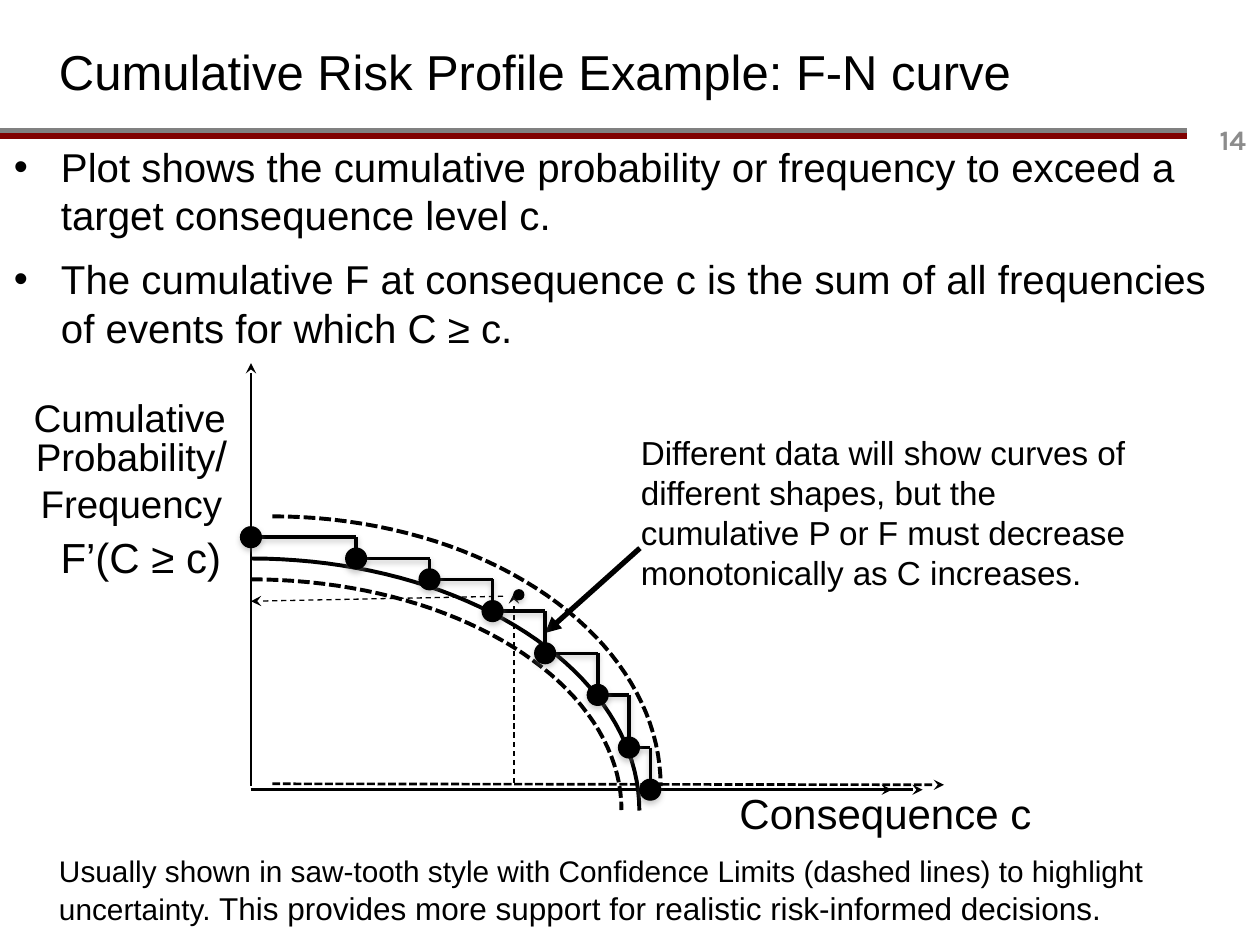
from math import cos, pi, sin

from lxml import etree
from pptx import Presentation
from pptx.dml.color import RGBColor
from pptx.enum import dml, shapes, text
from pptx.oxml import ns
from pptx.util import Cm, Pt

HUE = {"ink": "000000", "gray": "808080", "red": "800000", "page": "8C8C8C"}
DASH = dml.MSO_LINE
LEFT, MID, RIGHT = text.PP_ALIGN.LEFT, text.PP_ALIGN.CENTER, text.PP_ALIGN.RIGHT
TOP, HALF = text.MSO_ANCHOR.TOP, text.MSO_ANCHOR.MIDDLE


def style(shape, width, hue="ink", dash=None, tip=None, dist=None):
    line = shape.line
    line.color.rgb = RGBColor.from_string(HUE[hue])
    line.width = Pt(width)
    if dash:
        line.dash_style = dash
    props = shape._element.spPr
    if tip:
        etree.SubElement(props.find(ns.qn("a:ln")), ns.qn("a:tailEnd"), type=tip)
    list_ = etree.SubElement(props, ns.qn("a:effectLst"))
    if dist:
        shade = etree.SubElement(list_, ns.qn("a:outerShdw"), blurRad=str(Pt(3.1)),
                                 dist=str(Pt(dist)), dir="5400000", rotWithShape="0")
        tint = etree.SubElement(shade, ns.qn("a:srgbClr"), val=HUE["gray"])
        etree.SubElement(tint, ns.qn("a:alpha"), val="38000")


def join(start, end, *look, **more):
    ends = [Cm(v) for v in (*start, *end)]
    line = slide.shapes.add_connector(shapes.MSO_CONNECTOR.STRAIGHT, *ends)
    style(line, *look, **more)


deck = Presentation()
deck.slide_width, deck.slide_height = Cm(25.4), Cm(19.05)
slide = deck.slides.add_slide(deck.slide_layouts[6])

for y, hue in ((2.64, "gray"), (2.74, "red")):
    join((0, y), (23.93, y), 3, hue)

base = (5.06, 15.92)
join(base, (18.6, 15.92), 1.5, tip="stealth")
join(base, (17.98, 15.92), 1.5, dash=DASH.SQUARE_DOT, tip="stealth")
join((5.49, 15.8), (19.03, 15.82), 1.5, dash=DASH.SQUARE_DOT, tip="stealth")
join((5.06, 15.84), (5.06, 7.32), 1.5, tip="stealth")
join((12.9, 11.05), (10.99, 12.76), 3, tip="triangle")
join((10.36, 15.78), (10.36, 11.96), 0.75, dash=DASH.DASH, tip="stealth")
join((10.14, 12.02), (5.06, 12.12), 0.75, dash=DASH.DASH, tip="stealth")

arcs = [
    (5.06, 11.26, 7.83, 5.08, None),
    (5.49, 10.41, 7.83, 5.44, DASH.SQUARE_DOT),
    (5.06, 11.68, 7.47, 4.65, DASH.SQUARE_DOT),
]
count = 40
for x, y, wide, high, dash in arcs:
    turns = [pi / 2 * i / count for i in range(count + 1)]
    spots = [(Cm(x + wide * sin(t)), Cm(y + high * (1 - cos(t)))) for t in turns]
    pen = slide.shapes.build_freeform(*spots[0])
    pen.add_line_segments(spots[1:], close=False)
    curve = pen.convert_to_shape()
    curve.fill.background()
    style(curve, 2.25, dash=dash)

steps = [(5.06, 10.83), (7.18, 11.26), (8.66, 11.68), (9.93, 12.32),
         (10.99, 13.17), (12.05, 14.01), (12.68, 15.07), (13.11, 15.92)]
for (x, y), (right, low) in zip(steps, steps[1:]):
    join((x, y), (right, y), 2, dist=1.6)
    join((right, y), (right, low), 2, dist=1.6)

dots = [(x, y, 0.42) for x, y in steps] + [(10.46, 11.99, 0.2)]
for x, y, size in dots:
    dot = slide.shapes.add_shape(shapes.MSO_SHAPE.OVAL, Cm(x - size / 2),
                                 Cm(y - size / 2), Cm(size), Cm(size))
    dot.fill.solid()
    dot.fill.fore_color.rgb = RGBColor.from_string(HUE["ink"])
    style(dot, 0.75, dist=1.8)

notes = [
    ((23.29, 2.29, 2.08, 1.02), HALF, RIGHT, [[("14", 16)]]),
    ((0.94, 0.61, 22.86, 1.63), HALF, LEFT,
     [[("Cumulative Risk Profile Example: F-N curve", 28)]]),
    ((0.03, 2.74, 25.37, 5.92), TOP, LEFT, [
        [("Plot shows the cumulative probability or frequency to exceed a "
          "target consequence level c.", 23)],
        [("The cumulative F at consequence c is the sum of all frequencies "
          "of events for which C ≥ c.", 23)]]),
    ((0.64, 10.59, 4.4, 1.27), HALF, MID, [[("F’(C ≥ c)", 24)]]),
    ((0.25, 8.55, 4.8, 2.15), HALF, MID,
     [[("Probability", 22), ("/", 24)], [("Frequency", 22)]]),
    ((0.43, 7.82, 4.6, 1.19), TOP, LEFT, [[("Cumulative", 22)]]),
    ((12.67, 8.59, 10.59, 3.51), TOP, LEFT, [
        [("Different data will show curves of different shapes, but the "
          "cumulative P or F must decrease monotonically as C increases.", 19)]]),
    ((14.35, 15.01, 7, 2.74), HALF, MID, [[("Consequence c", 24)]]),
    ((0.94, 17.07, 23.52, 1.8), TOP, LEFT, [
        [("Usually shown in saw-tooth style with Confidence Limits (dashed "
          "lines) to highlight uncertainty. ", 17),
         ("This provides more support for realistic risk-informed decisions.", 18)]]),
]
for spot, anchor, align, paras in notes:
    frame = slide.shapes.add_textbox(*[Cm(v) for v in spot]).text_frame
    for key, value in {"word_wrap": True, "vertical_anchor": anchor}.items():
        setattr(frame, key, value)
    page = align == RIGHT
    list_ = anchor == TOP and len(paras) > 1
    for i, runs in enumerate(paras):
        para = frame.paragraphs[0] if i == 0 else frame.add_paragraph()
        form = {"alignment": align}
        if list_:
            form.update(space_before=Pt(4.6), space_after=Pt(4.6))
        for key, value in form.items():
            setattr(para, key, value)
        if list_:
            props = para._p.get_or_add_pPr()
            props.set("marL", str(Cm(0.95)))
            props.set("indent", str(-Cm(0.95)))
            etree.SubElement(props, ns.qn("a:buFont"), typeface="Arial")
            etree.SubElement(props, ns.qn("a:buChar"), char="•")
        for words, size in runs:
            run = para.add_run()
            run.text = words
            face = {"name": "Karla" if page else "Arial", "size": Pt(size), "bold": page}
            for key, value in face.items():
                setattr(run.font, key, value)
            run.font.color.rgb = RGBColor.from_string(HUE["page" if page else "ink"])

deck.save("out.pptx")
